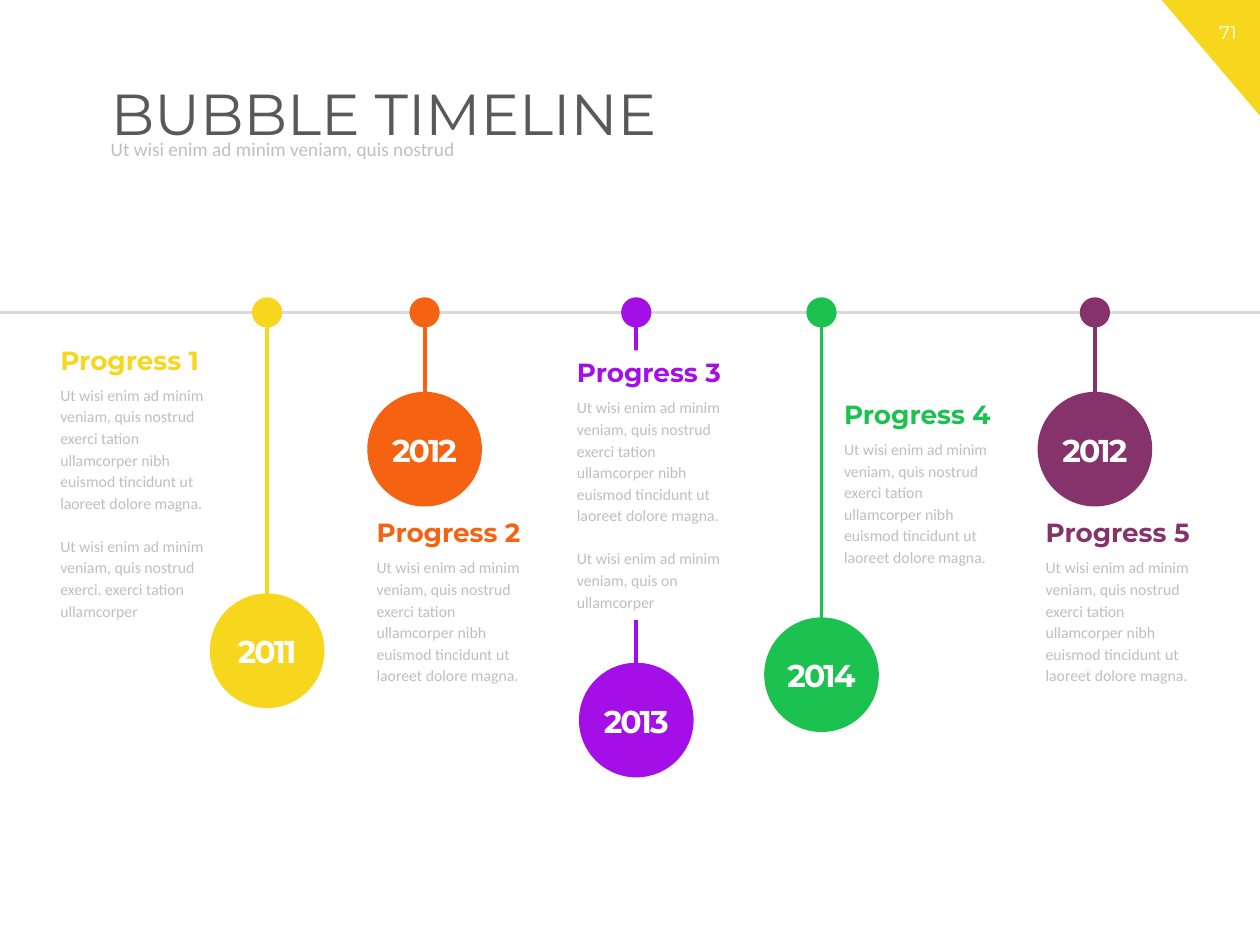
from dataclasses import dataclass

from lxml.etree import SubElement
from pptx import Presentation
from pptx.dml.color import RGBColor
from pptx.enum.shapes import MSO_CONNECTOR as Connector, MSO_SHAPE as Shape
from pptx.enum.text import MSO_ANCHOR as Anchor, MSO_AUTO_SIZE as AutoSize, PP_ALIGN as Align
from pptx.oxml.ns import qn
from pptx.util import Inches, Pt

YELLOW = RGBColor(0xF6, 0xD7, 0x1E)
ORANGE = RGBColor(0xF5, 0x62, 0x11)
VIOLET = RGBColor(0xA4, 0x0F, 0xE7)
GREEN = RGBColor(0x1C, 0xC2, 0x4F)
PLUM = RGBColor(0x85, 0x33, 0x6A)
WHITE = RGBColor(0xFF, 0xFF, 0xFF)
DARK = RGBColor(0x59, 0x59, 0x59)
MUTED = RGBColor(0xBF, 0xBF, 0xBF)
RAIL = RGBColor(0xD9, 0xD9, 0xD9)

HEAD_FONT, BODY_FONT = "Montserrat", "Calibri"
RAIL_Y = 2.48
DOT, BUBBLE = 0.24, 0.91
NOTE_WIDTH = 1.39

INTRO = "Ut wisi enim ad minim veniam, quis nostrud"
NOTE = INTRO + " exerci tation ullamcorper nibh euismod tincidunt ut laoreet dolore magna."


@dataclass
class Stage:
    heading: str
    year: str
    color: RGBColor
    x: float
    stem_end: float
    bubble_top: float
    note_left: float
    heading_top: float
    note_height: float
    extra: str = ""
    backing: RGBColor = None


STAGES = [
    Stage("Progress 1", "2011", YELLOW, 2.12, 5.1, 4.71, 0.38, 2.68, 2,
          INTRO + " exerci. exerci tation ullamcorper"),
    Stage("Progress 2", "2012", ORANGE, 3.37, 3.75, 3.11, 2.89, 4.05, 1.14),
    Stage("Progress 3", "2013", VIOLET, 5.05, 5.71, 5.26, 4.48, 2.78, 1.83,
          "Ut wisi enim ad minim veniam, quis on ullamcorper", WHITE),
    Stage("Progress 4", "2014", GREEN, 6.52, 5.1, 4.9, 6.6, 3.11, 1.31),
    Stage("Progress 5", "2012", PLUM, 8.69, 3.75, 3.11, 8.2, 4.05, 1.14),
]

YEAR_FORMAT = {"name": HEAD_FONT, "size": Pt(18), "bold": True}
HEADING_FORMAT = {"name": HEAD_FONT, "size": Pt(15), "bold": True}
NOTE_FORMAT = {"name": BODY_FONT, "size": Pt(9)}
NUMBER_FORMAT = {"name": HEAD_FONT, "size": Pt(10.5)}
TITLE_FORMAT = {"name": HEAD_FONT, "size": Pt(33), "bold": False}
SUBTITLE_FORMAT = {"name": BODY_FONT, "size": Pt(11)}


def apply(target, values):
    for name, value in values.items():
        setattr(target, name, value)


def write(frame, texts, font, color, **layout):
    """Fill a text frame, one paragraph for each text."""
    for index, text in enumerate(texts):
        paragraph = frame.add_paragraph() if index else frame.paragraphs[0]
        apply(paragraph, layout)
        run = paragraph.add_run()
        run.text = text
        apply(run.font, font)
        run.font.color.rgb = color


def add_text(shapes, left, top, width, height, texts, font, color, **layout):
    box = shapes.add_textbox(Inches(left), Inches(top), Inches(width), Inches(height))
    apply(box.text_frame, {"word_wrap": True, "auto_size": AutoSize.SHAPE_TO_FIT_TEXT})
    write(box.text_frame, texts, font, color, **layout)
    return box


def add_figure(shapes, kind, left, top, width, height, color):
    figure = shapes.add_shape(kind, Inches(left), Inches(top), Inches(width), Inches(height))
    figure.shadow.inherit = False
    figure.fill.solid()
    figure.fill.fore_color.rgb = color
    figure.line.fill.background()
    return figure


def add_line(shapes, x1, y1, x2, y2, color):
    line = shapes.add_connector(Connector.STRAIGHT, Inches(x1), Inches(y1), Inches(x2), Inches(y2))
    line.line.color.rgb = color
    line.line.width = Pt(2.25)
    SubElement(line._element.spPr, qn("a:effectLst"))


def add_bubble(shapes, stage):
    bubble = shapes.add_group_shape().shapes
    left, top = stage.x - BUBBLE / 2, stage.bubble_top
    add_figure(bubble, Shape.OVAL, left, top, BUBBLE, BUBBLE, stage.color)
    year = add_text(bubble, left - 0.03, top + 0.26, 0.97, 0.4, [stage.year],
                    YEAR_FORMAT, WHITE, alignment=Align.CENTER)
    # Tighter letter spacing, in hundredths of a point
    year.text_frame.paragraphs[0].runs[0]._r.get_or_add_rPr().set("spc", "-110")


def add_note(shapes, stage):
    texts = [NOTE, stage.extra] if stage.extra else [NOTE]
    note = add_text(shapes, stage.note_left, stage.heading_top + 0.31, NOTE_WIDTH,
                    stage.note_height, texts, NOTE_FORMAT, MUTED, line_spacing=1.14)
    for paragraph in note.text_frame.paragraphs[1:]:
        paragraph.space_before = Pt(12.3)
    heading = add_text(shapes, stage.note_left, stage.heading_top, NOTE_WIDTH, 0.35,
                       [stage.heading], HEADING_FORMAT, stage.color)
    if stage.backing is not None:
        for box in (note, heading):
            box.fill.solid()
            box.fill.fore_color.rgb = stage.backing


def add_stage(shapes, stage):
    add_figure(shapes, Shape.OVAL, stage.x - DOT / 2, RAIL_Y - DOT / 2, DOT, DOT, stage.color)
    add_line(shapes, stage.x, RAIL_Y, stage.x, stage.stem_end, stage.color)
    add_bubble(shapes, stage)
    add_note(shapes, stage)


def add_header(shapes):
    # Page corner
    corner = add_figure(shapes, Shape.RIGHT_TRIANGLE, 9.22, 0, 0.78, 0.92, YELLOW)
    corner.rotation = 180
    add_text(shapes, 9.49, 0.12, 0.51, 0.28, ["71"], NUMBER_FORMAT, WHITE,
             alignment=Align.CENTER)
    # Title and subtitle
    title = shapes.title
    apply(title, {"left": Inches(0.78), "top": Inches(0.63),
                  "width": Inches(8.86), "height": Inches(0.73)})
    apply(title.text_frame, {"vertical_anchor": Anchor.TOP, "auto_size": AutoSize.NONE})
    write(title.text_frame, ["BUBBLE TIMELINE"], TITLE_FORMAT, DARK,
          alignment=Align.LEFT, line_spacing=0.9)
    subtitle = add_text(shapes, 0.78, 1.06, 7.21, 0.26, [INTRO], SUBTITLE_FORMAT, MUTED,
                        line_spacing=0.9, space_before=Pt(9))
    apply(subtitle.text_frame, {"vertical_anchor": Anchor.MIDDLE, "auto_size": AutoSize.NONE})


def main():
    deck = Presentation()
    deck.slide_width, deck.slide_height = Inches(10), Inches(7.5)
    shapes = deck.slides.add_slide(deck.slide_layouts[5]).shapes
    add_header(shapes)
    # Timeline
    add_line(shapes, 0, RAIL_Y, 10, RAIL_Y, RAIL)
    for stage in STAGES:
        add_stage(shapes, stage)
    deck.save("out.pptx")


if __name__ == "__main__":
    main()
